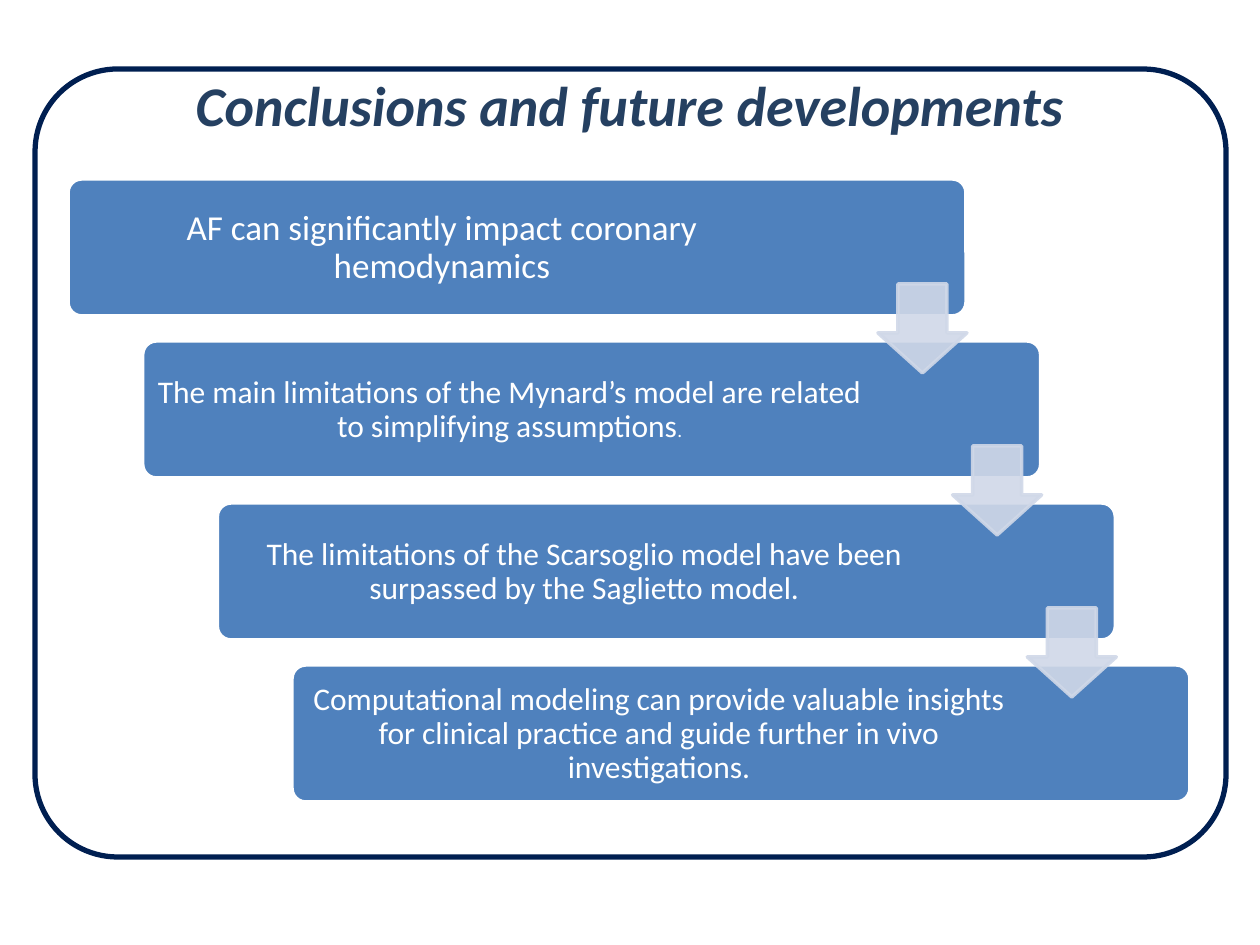
from dataclasses import dataclass
from lxml import etree
from pptx import Presentation
from pptx import util as u
from pptx.dml.color import RGBColor
from pptx.enum import shapes, text
from pptx.oxml.ns import qn


@dataclass(frozen=True)
class Theme:
    font: str = "Calibri"
    frame: str = "001F51"
    title: str = "254061"
    card: str = "4F81BD"
    white: str = "FFFFFF"
    arrow: str = "D0D8E8"
    title_pt: int = 32
    lead_pt: int = 20
    body_pt: int = 18
    small_pt: int = 11


T = Theme()
SHAPE = shapes.MSO_SHAPE
TITLE = "Conclusions and future developments"

# Each step: text width, inset and runs of (words, size)
STEPS = [
    (740, 10, [("AF can significantly impact coronary hemodynamics", T.lead_pt)]),
    (726, 9, [("The main limitations of the Mynard’s model are related to "
               "simplifying assumptions", T.body_pt), (".", T.small_pt)]),
    (726, 9, [("The limitations of the Scarsoglio model have been surpassed "
               "by the Saglietto model.", T.body_pt)]),
    (726, 9, [("Computational modeling can provide valuable insights for clinical "
               "practice and guide further in vivo investigations.", T.body_pt)]),
]


def px(n):
    return u.Emu(round(n * 914400 / 126))


def set_attrs(obj, fmt):
    for name, value in fmt.items():
        setattr(obj, name, value)


def place(sp, box):
    set_attrs(sp, dict(zip(("left", "top", "width", "height"), map(px, box))))


def add_shape(s, kind, box, adj, fill, line, line_pt, alpha=None):
    sp = s.shapes.add_shape(kind, *map(px, box))
    sp.shadow.inherit = False
    for i, value in enumerate(adj):
        sp.adjustments[i] = value
    if fill:
        sp.fill.solid()
        sp.fill.fore_color.rgb = RGBColor.from_string(fill)
    else:
        sp.fill.background()
    sp.line.color.rgb = RGBColor.from_string(line)
    sp.line.width = u.Pt(line_pt)
    if alpha:
        for clr in sp._element.spPr.iter(qn("a:srgbClr")):
            etree.SubElement(clr, qn("a:alpha"), val=str(alpha * 1000))
    return sp


def write_text(sp, runs, color, inset, anchor, **font):
    tf = sp.text_frame
    set_attrs(tf, dict(word_wrap=True, auto_size=text.MSO_AUTO_SIZE.NONE,
                       vertical_anchor=anchor))
    set_attrs(tf, {f"margin_{side}": px(inset)
                   for side in ("left", "top", "right", "bottom")})
    p = tf.paragraphs[0]
    set_attrs(p, dict(alignment=text.PP_ALIGN.CENTER, line_spacing=0.9))
    for words, size in runs:
        r = p.add_run()
        r.text = words
        set_attrs(r.font, dict(name=T.font, size=u.Pt(size), **font))
        r.font.color.rgb = RGBColor.from_string(color)


def add_frame(s, box):
    add_shape(s, SHAPE.ROUNDED_RECTANGLE, box, [0.105], None, T.frame, 3)


def add_title(s, box):
    sp = s.shapes.title
    place(sp, box)
    write_text(sp, [(TITLE, T.title_pt)], T.title, 0,
               text.MSO_ANCHOR.TOP, bold=True, italic=True)


def add_card(s, box, text_w, inset, runs):
    x, y, w, h = box
    add_shape(s, SHAPE.ROUNDED_RECTANGLE, box, [0.1], T.card, T.white, 2)
    tb = s.shapes.add_textbox(*map(px, (x + 4, y + 4, text_w, h - 7)))
    write_text(tb, runs, T.white, inset, text.MSO_ANCHOR.MIDDLE)


def add_staircase(s, box):
    x, y, w, h = box
    card_w, card_h, arrow = 898, 137, 89
    gaps = len(STEPS) - 1
    dx, dy = (w - card_w) / gaps, (h - card_h) / gaps
    # Cards, each one step right and down
    for i, step in enumerate(STEPS):
        add_card(s, (x + i * dx, y + i * dy, card_w, card_h), *step)
    # Arrows over the gaps between cards
    for i in range(gaps):
        add_shape(s, SHAPE.DOWN_ARROW,
                  (x + 810 + i * dx, y + 105 + i * dy, arrow, arrow),
                  [0.55, 0.45], T.arrow, T.arrow, 2, alpha=90)


def main():
    prs = Presentation()
    set_attrs(prs, dict(slide_width=px(1260), slide_height=px(945)))
    s = prs.slides.add_slide(prs.slide_layouts[5])
    add_title(s, (84, 78, 1092, 71))
    add_frame(s, (35, 69, 1191, 788))
    add_staircase(s, (68, 179, 1122, 623))
    prs.save("out.pptx")


if __name__ == "__main__":
    main()
